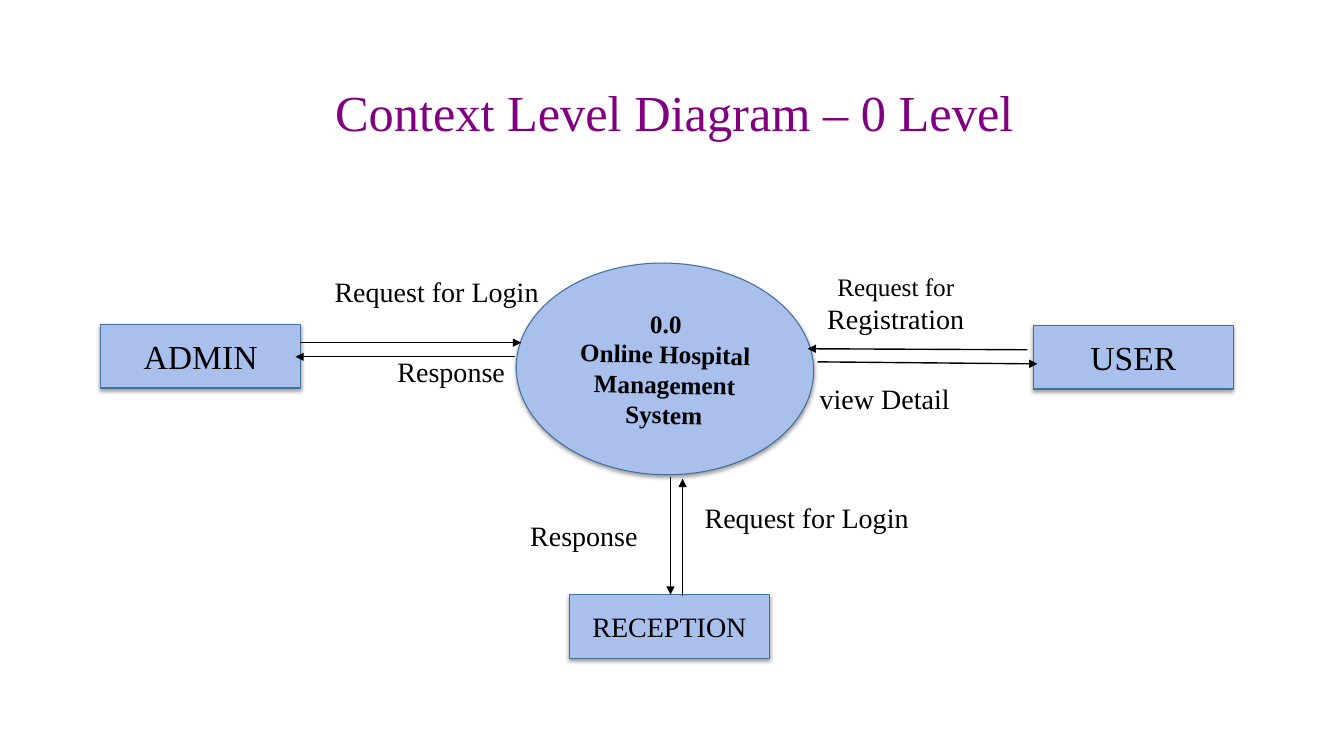
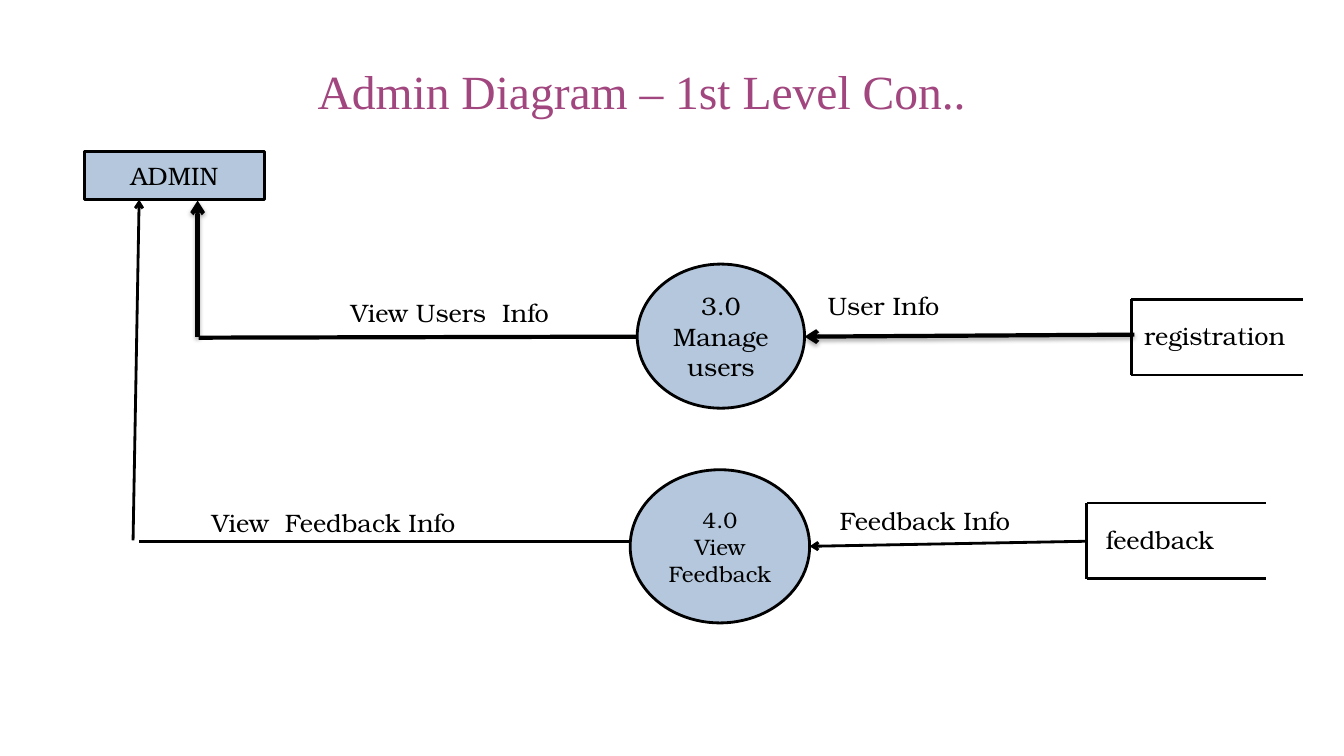
"""Build two data flow diagram slides for a hospital management system."""
import pptx
import pptx.dml.color
import pptx.enum.shapes
import pptx.enum.text
import pptx.oxml.ns
import pptx.util
from lxml import etree

Inches = pptx.util.Inches
Pt = pptx.util.Pt
qn = pptx.oxml.ns.qn
SHAPE = pptx.enum.shapes.MSO_SHAPE
ALIGN = pptx.enum.text.PP_ALIGN
ANCHOR = pptx.enum.text.MSO_ANCHOR

COLORS = {
    "black": "000000",
    "purple": "800080",
    "plum": "A1467E",
    "blue": "A9C0ED",
    "edge": "44709D",
    "steel": "B4C7DC",
}
SERIF = "Times New Roman"
BONUM = "TeX Gyre Bonum"


def rgb(name):
    return pptx.dml.color.RGBColor.from_string(COLORS[name])


class Deck:
    def __init__(self):
        self.prs = pptx.Presentation()
        self.prs.slide_width = Inches(13.33)
        self.prs.slide_height = Inches(7.5)

    def slide(self, font, fill, edge, edge_width, shadow):
        self.s = self.prs.slides.add_slide(self.prs.slide_layouts[5])
        self.font, self.fill, self.edge = font, fill, edge
        self.edge_width, self.shadow = edge_width, shadow

    def add_text(self, tf, paragraphs, size, align, color="black", bold=False, font=None):
        tf.word_wrap = True
        tf.auto_size = pptx.enum.text.MSO_AUTO_SIZE.NONE
        for i, runs in enumerate(paragraphs):
            p = tf.add_paragraph() if i else tf.paragraphs[0]
            p.alignment = align
            for text, run_size in [(runs, size)] if isinstance(runs, str) else runs:
                r = p.add_run()
                r.text = text
                r.font.name = font or self.font
                r.font.size = Pt(run_size)
                r.font.bold = bold
                r.font.color.rgb = rgb(color)

    def effects(self, sp, alpha=None, distance=1.6):
        effects = etree.SubElement(sp._element.spPr, qn("a:effectLst"))
        if alpha:
            shadow = etree.SubElement(
                effects, qn("a:outerShdw"), blurRad=str(Pt(3.1)),
                dist=str(Pt(distance)), dir="5400000", rotWithShape="0")
            color = etree.SubElement(shadow, qn("a:srgbClr"), val=COLORS["black"])
            etree.SubElement(color, qn("a:alpha"), val=str(alpha * 1000))

    def title(self, text, x, y, w, h, size, color, align):
        sp = self.s.shapes.title
        sp.left, sp.top, sp.width, sp.height = map(Inches, (x, y, w, h))
        sp.text_frame.vertical_anchor = ANCHOR.TOP
        self.add_text(sp.text_frame, [text], size, align, color, font=SERIF)

    def node(self, kind, paragraphs, x, y, w, h, size, bold=False, rotation=0):
        sp = self.s.shapes.add_shape(kind, *map(Inches, (x, y, w, h)))
        sp.rotation = rotation
        sp.fill.solid()
        sp.fill.fore_color.rgb = rgb(self.fill)
        sp.line.color.rgb = rgb(self.edge)
        sp.line.width = Pt(self.edge_width)
        self.effects(sp, self.shadow)
        sp.text_frame.vertical_anchor = ANCHOR.MIDDLE
        self.add_text(sp.text_frame, paragraphs, size, ALIGN.CENTER, bold=bold)

    def label(self, runs, x, y, w, h, size, align=ALIGN.LEFT):
        sp = self.s.shapes.add_textbox(*map(Inches, (x, y, w, h)))
        self.add_text(sp.text_frame, [runs], size, align)

    def line(self, x1, y1, x2, y2, width, head=None, shadow=None):
        sp = self.s.shapes.add_connector(
            pptx.enum.shapes.MSO_CONNECTOR.STRAIGHT, *map(Inches, (x1, y1, x2, y2)))
        sp.line.color.rgb = rgb("black")
        sp.line.width = Pt(width)
        if head:
            etree.SubElement(sp._element.spPr.find(qn("a:ln")), qn("a:tailEnd"), type=head)
        self.effects(sp, shadow, 1.8)

    def store(self, name, x, y, w, text_x):
        bottom = y + 0.75
        self.line(x, y, x + w, y, 2)
        self.line(x, bottom, x + w, bottom, 2)
        self.line(x, y, x, bottom, 2)
        self.label(name, text_x, y + 0.16, 1.78, 0.4, 18)


def context_slide(d):
    d.slide(SERIF, "blue", "edge", 0.75, 38)
    d.title("Context Level Diagram – 0 Level", 2.22, 0.75, 8.94, 0.7, 36, "purple", ALIGN.CENTER)
    d.node(SHAPE.FLOWCHART_CONNECTOR, ["0.0", "Online Hospital Management", "System"],
           5.12, 2.61, 2.95, 2.1, 18, bold=True, rotation=1.3)
    for name, x, y, size in (("ADMIN", 1, 3.22, 24), ("USER", 10.25, 3.23, 24),
                             ("RECEPTION", 5.65, 5.9, 20)):
        d.node(SHAPE.RECTANGLE, [name], x, y, 1.98, 0.63, size)
    for x1, y1, x2, y2, width in (
            (2.98, 3.4, 5.17, 3.4, 0.75), (5.11, 3.54, 2.93, 3.54, 0.75),
            (10.19, 3.47, 8.01, 3.46, 1), (8.11, 3.59, 10.29, 3.61, 1),
            (6.65, 4.73, 6.65, 5.9, 1), (6.77, 5.91, 6.77, 4.75, 1)):
        d.line(x1, y1, x2, y2, width, "triangle")
    for text, x, y, w, h, align in (
            ("Request for Login", 3.22, 2.67, 2.53, 0.76, ALIGN.LEFT),
            ("Response", 3.32, 3.47, 2.31, 0.43, ALIGN.CENTER),
            ([("Request for ", 18), ("Registration", 20)], 7.73, 2.64, 2.31, 0.73, ALIGN.CENTER),
            ("view Detail", 7.62, 3.74, 2.31, 0.43, ALIGN.CENTER),
            ("Request for Login", 6.89, 4.92, 2.53, 0.76, ALIGN.LEFT),
            ("Response", 5.16, 5.09, 1.94, 0.42, ALIGN.LEFT)):
        d.label(text, x, y, w, h, 20, align)


def admin_slide(d):
    d.slide(BONUM, "steel", "black", 2, None)
    d.title("Admin Diagram – 1st Level Con..", 3.05, 0.56, 8.75, 0.65, 34, "plum", ALIGN.LEFT)
    d.node(SHAPE.RECTANGLE, ["ADMIN"], 0.84, 1.5, 1.78, 0.48, 18)
    d.node(SHAPE.OVAL, ["3.0", "Manage users"], 6.32, 2.62, 1.66, 1.43, 18)
    d.node(SHAPE.OVAL, ["4.0", "View Feedback"], 6.25, 4.66, 1.78, 1.52, 16)
    d.store("registration", 11.22, 2.97, 1.7, 11.25)
    d.store("feedback", 10.78, 4.99, 1.78, 10.87)
    d.line(1.97, 3.35, 6.32, 3.34, 3)
    d.line(1.96, 3.34, 1.96, 1.99, 3, "arrow", 35)
    d.line(11.25, 3.32, 7.98, 3.34, 3, "arrow", 35)
    d.line(1.38, 5.37, 6.25, 5.37, 2)
    d.line(1.32, 5.36, 1.38, 1.98, 2, "arrow")
    d.line(10.77, 5.37, 8.03, 5.42, 2, "arrow")
    for text, x, y, w in (("View Users  Info", 3.38, 2.9, 2.4), ("User Info", 8.11, 2.83, 1.5),
                          ("View  Feedback Info", 2, 4.98, 3.13),
                          ("Feedback Info", 8.23, 4.96, 2.56)):
        d.label(text, x, y, w, 0.4, 18)


def main():
    d = Deck()
    context_slide(d)
    admin_slide(d)
    d.prs.save("out.pptx")


if __name__ == "__main__":
    main()
